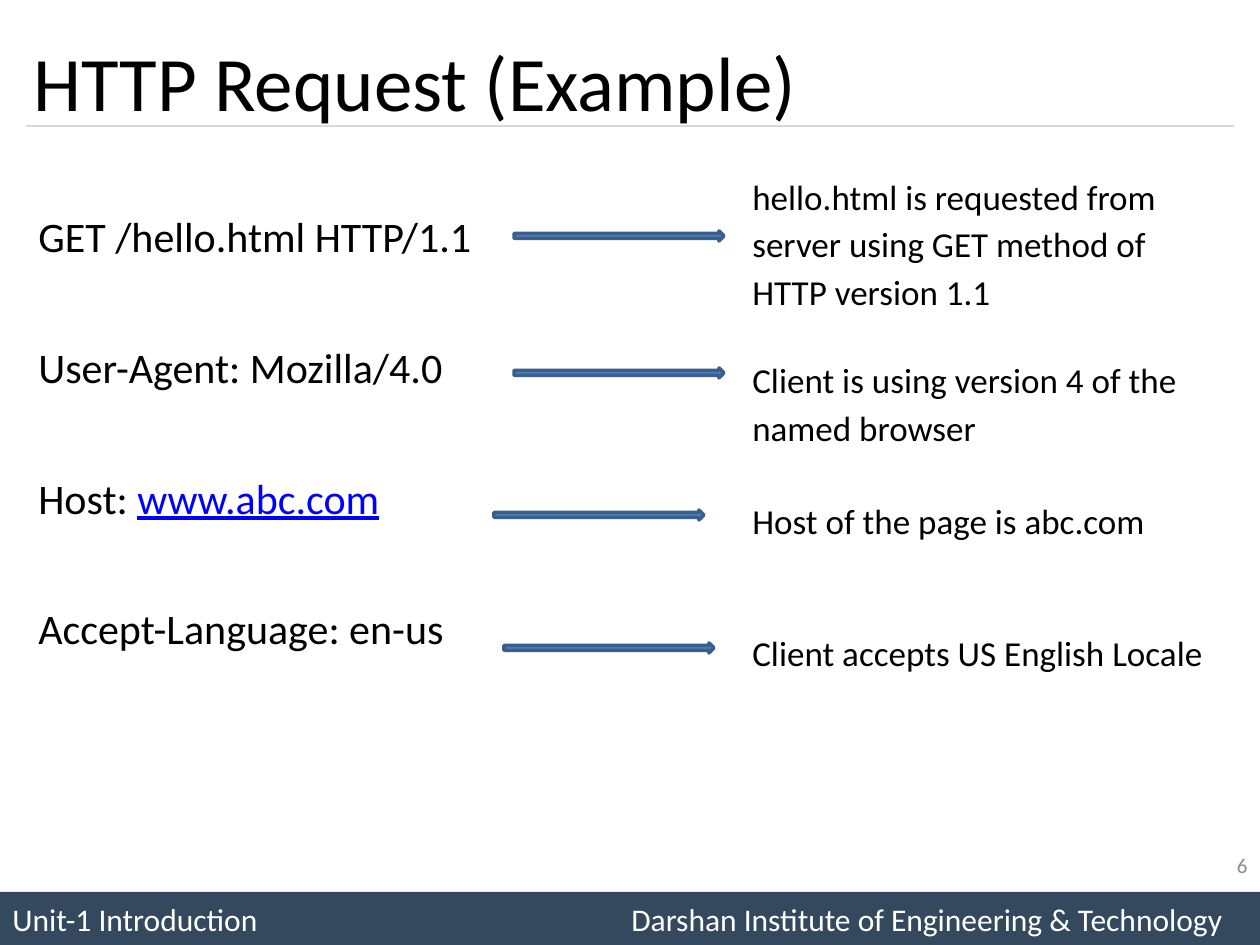
"""Builds the slide that explains the lines of an example HTTP request."""
from lxml import etree
from pptx import Presentation, util as u
from pptx.dml.color import RGBColor
from pptx.enum import shapes, text
from pptx.oxml.ns import qn


def px(length):
    return u.Emu(round(length * 914400 / 126))


def colour(code):
    return RGBColor.from_string(code)


def write(paragraph, words, size, ink="000000", underline=None):
    run = paragraph.add_run()
    run.text = words
    run.font.name = "Calibri"
    run.font.size = u.Pt(size)
    run.font.color.rgb = colour(ink)
    run.font.underline = underline


class Sheet:
    link, rule, bar = "0000FF", "D9D9D9", "34495E"
    arrow_fill, arrow_edge = "4F81BD", "3A5F8C"

    def __init__(self, slide):
        self.slide = slide

    def shape(self, kind, box, fill, edge=None):
        item = self.slide.shapes.add_shape(kind, *map(px, box))
        item.shadow.inherit = False
        item.fill.solid()
        item.fill.fore_color.rgb = colour(fill)
        if edge:
            item.line.color.rgb = colour(edge)
            item.line.width = u.Pt(2)
        else:
            item.line.fill.background()
        return item

    def arrow(self, left, top):
        self.shape(shapes.MSO_SHAPE.RIGHT_ARROW, (left, top, 210, 10),
                   self.arrow_fill, self.arrow_edge)

    def divider(self, left, right, y):
        line = self.slide.shapes.add_connector(
            shapes.MSO_CONNECTOR.STRAIGHT, px(left), px(y), px(right), px(y))
        line.line.color.rgb = colour(self.rule)
        line.line.width = u.Pt(0.75)
        etree.SubElement(line._element.spPr, qn("a:effectLst"))

    def textbox(self, box, paragraphs, anchor=text.MSO_ANCHOR.TOP,
                align=text.PP_ALIGN.LEFT, spacing=1.0):
        """Add paragraphs given as (points before, runs), each run a dict for write()."""
        frame = self.slide.shapes.add_textbox(*map(px, box)).text_frame
        frame.word_wrap = True
        frame.vertical_anchor = anchor
        for index, (before, runs) in enumerate(paragraphs):
            paragraph = frame.add_paragraph() if index else frame.paragraphs[0]
            paragraph.alignment = align
            paragraph.line_spacing = spacing
            if index:
                paragraph.space_before = u.Pt(before)
            for run in runs:
                write(paragraph, **run)

    def footer(self, unit, institute):
        bar = self.shape(shapes.MSO_SHAPE.RECTANGLE, (0, 892, 1260, 53), self.bar)
        bar.text_frame.vertical_anchor = text.MSO_ANCHOR.MIDDLE
        paragraph = bar.text_frame.paragraphs[0]
        paragraph.alignment = text.PP_ALIGN.LEFT
        tabs = etree.SubElement(paragraph._p.get_or_add_pPr(), qn("a:tabLst"))
        etree.SubElement(tabs, qn("a:tab"), pos=str(px(619)), algn="l")
        write(paragraph, f"{unit}\t{institute}", 18, "FFFFFF")


def main():
    deck = Presentation()
    deck.slide_width, deck.slide_height = px(1260), px(945)
    sheet = Sheet(deck.slides.add_slide(deck.slide_layouts[6]))
    middle = text.MSO_ANCHOR.MIDDLE

    sheet.footer("Unit-1 Introduction", "Darshan Institute of Engineering & Technology")
    sheet.divider(26, 1234, 126)
    sheet.textbox((21, 25, 1207, 112),
                  [(0, [dict(words="HTTP Request (Example)", size=44)])], middle)
    sheet.textbox((966, 840, 294, 50), [(0, [dict(words="6", size=12, ink="8C8C8C")])],
                  middle, text.PP_ALIGN.RIGHT)

    request = [
        [dict(words="GET /hello.html HTTP/1.1", size=24)],
        [dict(words="User-Agent: Mozilla/4.0", size=24)],
        [dict(words="Host: ", size=24),
         dict(words="www.abc.com", size=24, ink=sheet.link, underline=True)],
        [dict(words="Accept-Language: en-us", size=24)],
    ]
    sheet.textbox((26, 204, 478, 688), [(46, runs) for runs in request])

    meanings = [
        (0, "hello.html is requested from server using GET method of HTTP version 1.1"),
        (23, "Client is using version 4 of the named browser"),
        (25.5, "Host of the page is abc.com"),
        (48, "Client accepts US English Locale"),
    ]
    sheet.textbox((740, 163, 478, 719),
                  [(before, [dict(words=words, size=20)]) for before, words in meanings],
                  spacing=1.14)

    for left, top in [(514, 231), (514, 368), (494, 510), (504, 643)]:
        sheet.arrow(left, top)

    deck.save("out.pptx")


if __name__ == "__main__":
    main()
